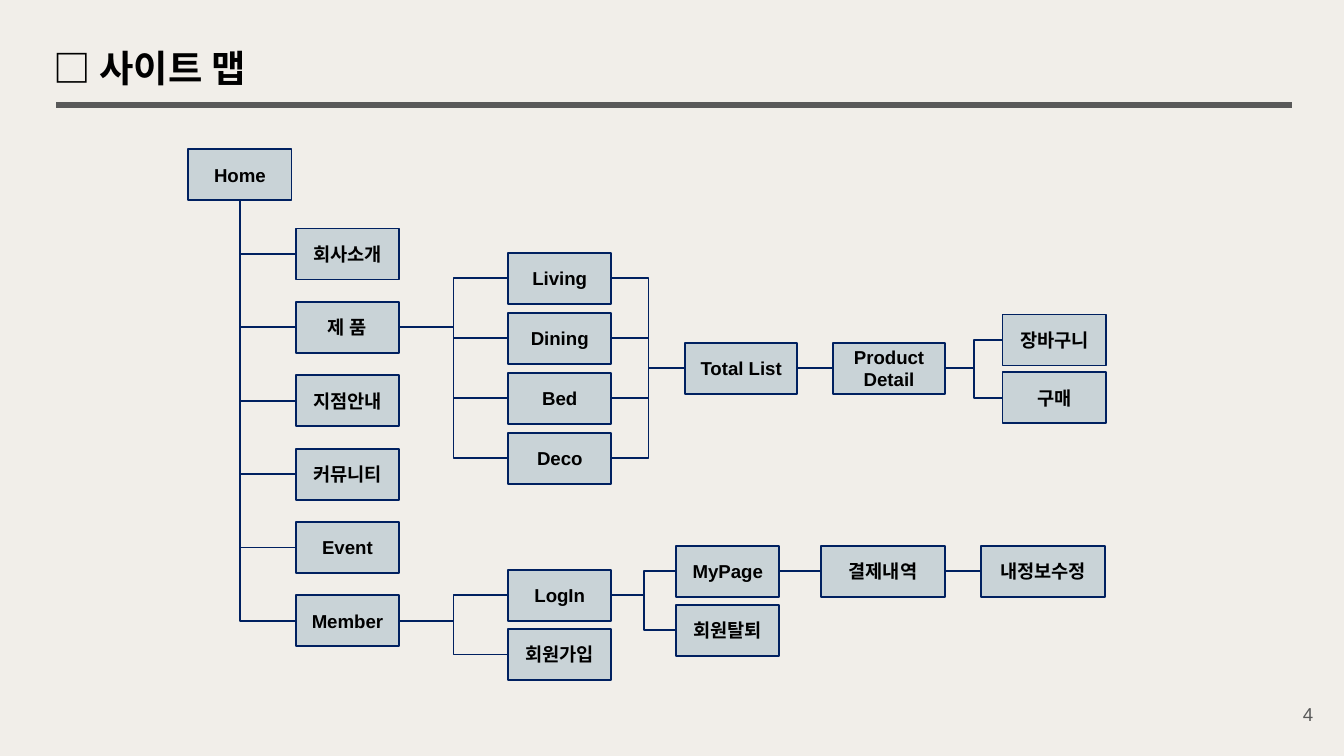
from dataclasses import dataclass

from lxml import etree
from pptx import Presentation
from pptx.dml.color import RGBColor
from pptx.enum.shapes import MSO_CONNECTOR, MSO_SHAPE
from pptx.enum.text import MSO_ANCHOR, PP_ALIGN
from pptx.oxml.ns import qn
from pptx.util import Inches, Pt

STRAIGHT, ELBOW = MSO_CONNECTOR.STRAIGHT, MSO_CONNECTOR.ELBOW
RECTANGLE = MSO_SHAPE.RECTANGLE
MIDDLE = MSO_ANCHOR.MIDDLE
LEFT, CENTER, RIGHT = PP_ALIGN.LEFT, PP_ALIGN.CENTER, PP_ALIGN.RIGHT
LEFT_SITE, BOTTOM_SITE, RIGHT_SITE = 1, 2, 3

COLORS = {
    "background": "F1EEE9",
    "box": "C9D3D7",
    "border": "002060",
    "text": "000000",
    "muted": "595959",
}
LATIN_FONT, KOREAN_FONT = "Arial", "Noto Sans CJK KR"
BOX_HEIGHT = 0.38


@dataclass(frozen=True)
class Column:
    left: float
    top: float
    labels: tuple[str, ...]
    step: float = 0
    width: float = 0.77


@dataclass(frozen=True)
class Branch:
    parents: tuple[str, ...]
    children: tuple[str, ...]


MENU = Column(2.2, 1.7, ("회사소개", "제 품", "지점안내", "커뮤니티", "Event", "Member"), 2.73 / 5)
CATEGORIES = Column(3.78, 1.88, ("Living", "Dining", "Bed", "Deco"), 1.34 / 3)
ACCESS = Column(3.78, 4.24, ("LogIn", "회원가입"), 0.44)
ACCOUNT = Column(5.03, 4.06, ("MyPage", "회원탈퇴"), 0.44)
ORDER = Column(7.46, 2.34, ("장바구니", "구매"), 0.43)
COLUMNS = (
    Column(1.4, 1.11, ("Home",)),
    MENU,
    CATEGORIES,
    ACCESS,
    Column(5.1, 2.55, ("Total List",), width=0.83),
    Column(6.2, 2.55, ("Product Detail",), width=0.83),
    ACCOUNT,
    ORDER,
    Column(6.11, 4.06, ("결제내역",), width=0.92),
    Column(7.3, 4.06, ("내정보수정",), width=0.92),
)
BRANCHES = (
    Branch(("제 품",), CATEGORIES.labels),
    Branch(CATEGORIES.labels, ("Total List",)),
    Branch(("Total List",), ("Product Detail",)),
    Branch(("Product Detail",), ORDER.labels),
    Branch(("Member",), ACCESS.labels),
    Branch(("LogIn",), ACCOUNT.labels),
    Branch(("MyPage",), ("결제내역",)),
    Branch(("결제내역",), ("내정보수정",)),
)


def color(name: str) -> RGBColor:
    return RGBColor.from_string(COLORS[name])


def write(shape, text: str, size: float, align, ink: str = "text",
          bold: bool = True, font: str = LATIN_FONT) -> None:
    frame = shape.text_frame
    frame.word_wrap = True
    frame.vertical_anchor = MIDDLE
    para = frame.paragraphs[0]
    para.text = text
    para.alignment = align
    para.font.name = font
    para.font.size = Pt(size)
    para.font.bold = bold
    para.font.color.rgb = color(ink)
    properties = para._p.pPr.find(qn("a:defRPr"))
    etree.SubElement(properties, qn("a:ea"), typeface=font)


def add_text(page, left: float, top: float, width: float, height: float):
    box = page.shapes.add_textbox(Inches(left), Inches(top), Inches(width), Inches(height))
    frame = box.text_frame
    frame.margin_left = frame.margin_right = Inches(0.1)
    frame.margin_top = frame.margin_bottom = Inches(0.1)
    return box


def add_box(page, label: str, left: float, top: float, width: float):
    box = page.shapes.add_shape(
        RECTANGLE, Inches(left), Inches(top), Inches(width), Inches(BOX_HEIGHT))
    box.shadow.inherit = False
    box.fill.solid()
    box.fill.fore_color.rgb = color("box")
    box.line.color.rgb = color("border")
    box.line.width = Pt(1)
    write(box, label, 10, CENTER)
    return box


def style_line(line, ink: str, width: float) -> None:
    line.line.color.rgb = color(ink)
    line.line.width = Pt(width)
    etree.SubElement(line._element.spPr, qn("a:effectLst"))


def link(page, parent, child, site: int = RIGHT_SITE):
    straight = parent.top == child.top and len(parent.text_frame.text.split()) == 1
    line = page.shapes.add_connector(STRAIGHT if straight else ELBOW, 0, 0, 0, 0)
    line.begin_connect(parent, site)
    line.end_connect(child, LEFT_SITE)
    style_line(line, "border", 1)
    return line


def link_below(page, parent, child) -> None:
    line = link(page, parent, child, BOTTOM_SITE)
    left, top, width, height = line.left, line.top, line.width, line.height
    line.left = left + (width - height) // 2
    line.top = top + (height - width) // 2
    line.width, line.height = height, width
    properties = line._element.spPr
    frame = properties.find(qn("a:xfrm"))
    frame.set("rot", "16200000")
    frame.set("flipH", "1")
    properties.find(qn("a:prstGeom")).set("prst", "bentConnector2")


def main() -> None:
    deck = Presentation()
    deck.slide_width = Inches(10)
    deck.slide_height = deck.slide_width * 9 // 16
    page = deck.slides.add_slide(deck.slide_layouts[6])
    page.background.fill.solid()
    page.background.fill.fore_color.rgb = color("background")

    write(add_text(page, 9.27, 5.1, 0.6, 0.43), "4", 10, RIGHT, "muted", False)
    rule = page.shapes.add_connector(
        STRAIGHT, Inches(0.42), Inches(0.78), Inches(9.61), Inches(0.78))
    style_line(rule, "muted", 3)
    write(add_text(page, 0.3, 0.23, 9.39, 0.54), "□ 사이트 맵", 20, LEFT, font=KOREAN_FONT)

    boxes = {
        label: add_box(page, label, column.left, column.top + row * column.step, column.width)
        for column in COLUMNS
        for row, label in enumerate(column.labels)
    }
    for label in MENU.labels:
        link_below(page, boxes["Home"], boxes[label])
    for branch in BRANCHES:
        for parent in branch.parents:
            for child in branch.children:
                link(page, boxes[parent], boxes[child])

    deck.save("out.pptx")


main()
